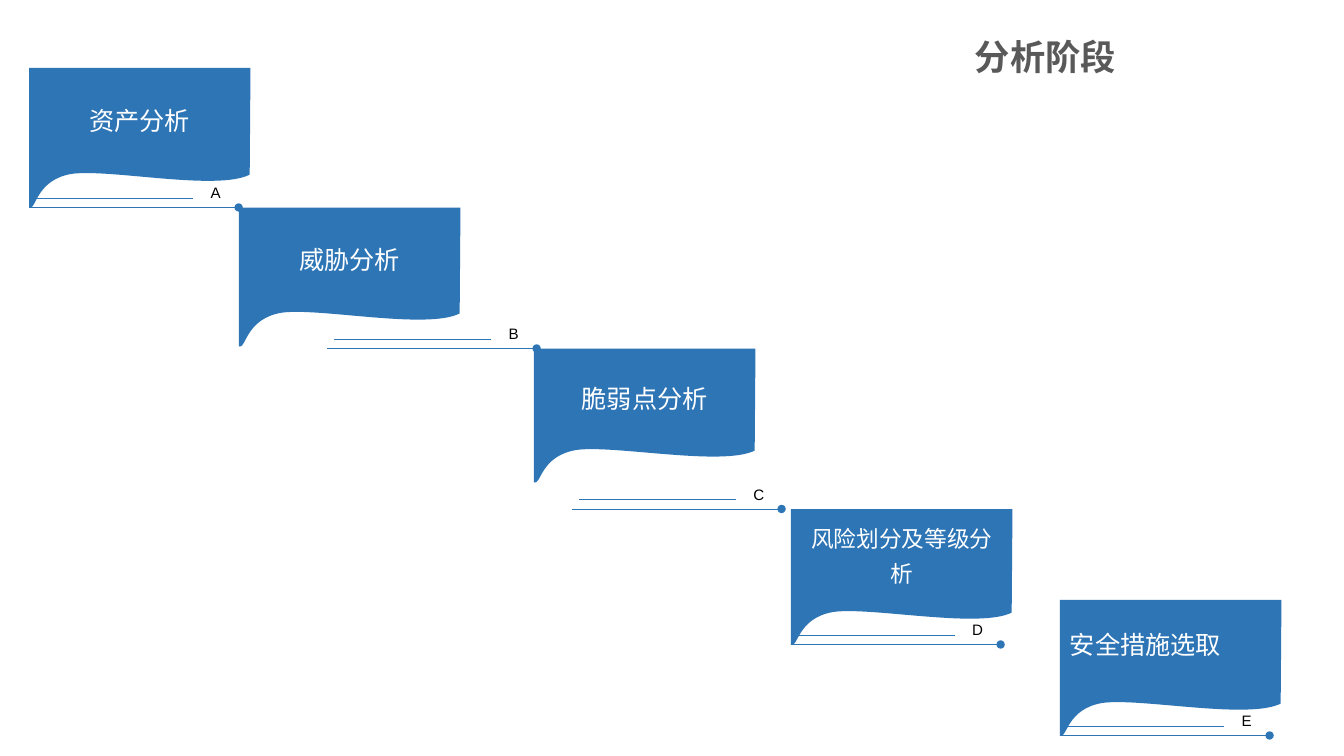
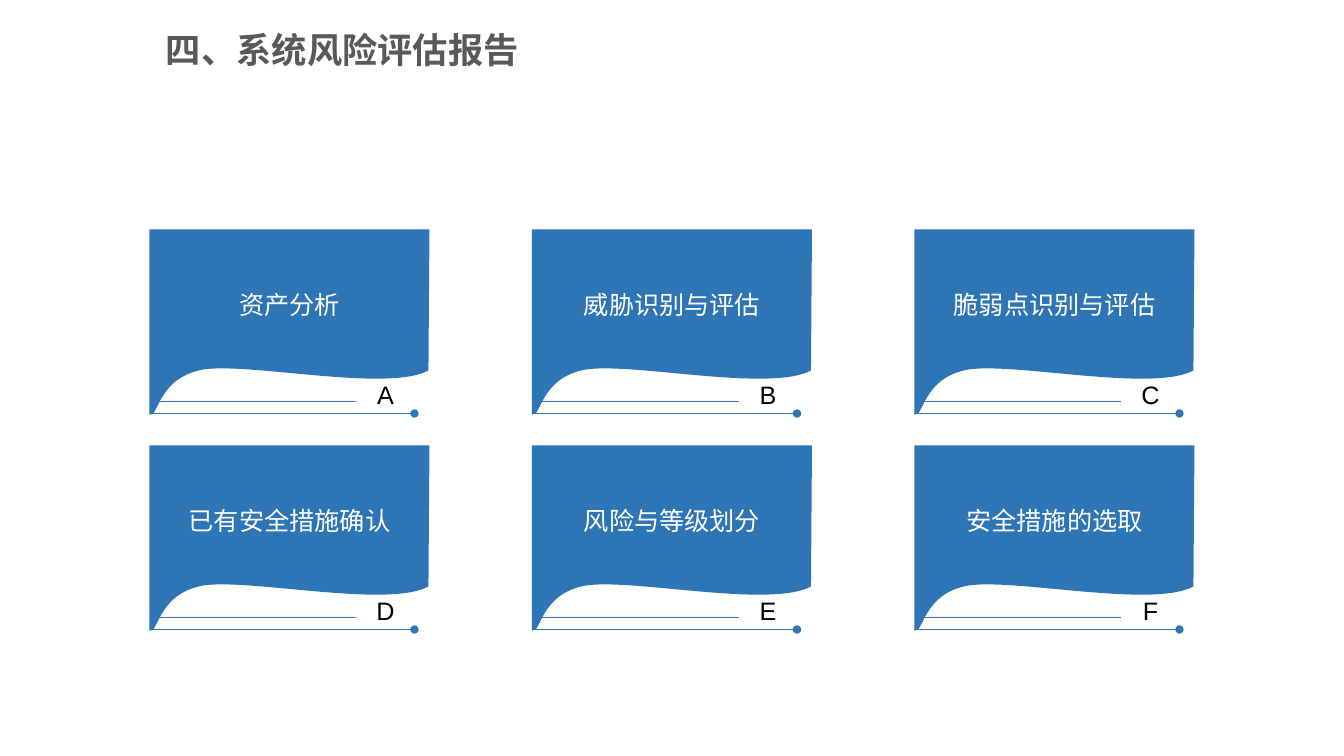
from lxml import etree
from pptx import Presentation
from pptx.dml.color import RGBColor
from pptx.enum import lang, shapes, text
from pptx.oxml import ns
from pptx.util import Emu, Pt

SCALE = 914400 / 100.8
FONT, BLUE, GREY, WHITE, BLACK = "Arial", "2E75B6", "595959", "FFFFFF", "000000"
LEFT, MID = text.PP_ALIGN.LEFT, text.PP_ALIGN.CENTER

# Flag outline and rule measures, for a flag 280 wide and 185 high
FLAG_W, FLAG_H = 280, 185
CORNERS = [(0, 0), (280, 0), (279, 141)]
WAVES = [(238, 163), (102, 133), (54, 140), (8, 148), (9, 189), (0, 185)]
EDGE = [(0, 118)]
SHORT, LONG, RISE = (9, 207), (0, 265), 12
TAG_X, TAG_W, TAG_H = 211, 50, 38

# Title: words, box
STAGE_TITLE = ("分析阶段", (965, 30, 172, 57))
REPORT_TITLE = ("四、系统风险评估报告", (156, 23, 570, 57))

# Stage: words, flag x, y, height, rule x, y, size, line spacing, alignment
STAGES = [
    ("资产分析", 29, 68, 140, 29, 207.5, 18, 1.5, MID),
    ("威胁分析", 239, 207.5, 139, 327, 348.5, 18, 1.5, MID),
    ("脆弱点分析", 534, 348.5, 134, 572, 509, 18, 1.5, MID),
    ("风险划分及等级分析", 791, 509, 136, 791, 644.5, 16.2, 1.3, MID),
    ("安全措施选取", 1060, 600, 136, 1060, 735.5, 18, Pt(23), LEFT),
]
STAGE_W = 221.5

PARTS = ["资产分析", "威胁识别与评估", "脆弱点识别与评估",
         "已有安全措施确认", "风险与等级划分", "安全措施的选取"]
COLS, GRID_X, GRID_Y, STEP_X, STEP_Y = 3, 149.5, 229.5, 382.5, 216


def px(n):
    """Turn pixels into EMU."""
    return Emu(round(n * SCALE))


def rgb(code):
    """Turn a hex string into a colour."""
    return RGBColor.from_string(code)


def write(shape, words, size, color, align=LEFT, gap=None, bold=False):
    """Put one styled paragraph into a shape."""
    frame = shape.text_frame
    frame.word_wrap = True
    frame.text = words
    para = frame.paragraphs[0]
    para.alignment = align
    if gap:
        para.line_spacing = gap
    font = para.runs[0].font
    font.name, font.size, font.bold = FONT, Pt(size), bold
    font.color.rgb = rgb(color)
    font.language_id = lang.MSO_LANGUAGE_ID.SIMPLIFIED_CHINESE
    return frame


def title(slide, words, box):
    """Add the slide title."""
    shape = slide.shapes.add_textbox(*map(px, box))
    write(shape, words, 25.2, GREY, bold=True)


def rule(group, x1, x2, y, dot=False):
    """Draw a thin level line, with a dot at its end if asked."""
    line = group.shapes.add_connector(
        shapes.MSO_CONNECTOR.STRAIGHT, px(x1), px(y), px(x2), px(y))
    line.line.color.rgb = rgb(BLUE)
    line.line.width = Pt(0.5)
    if dot:
        tail = etree.SubElement(line.line._get_or_add_ln(), ns.qn("a:tailEnd"))
        tail.set("type", "oval")
    etree.SubElement(line._element.spPr, ns.qn("a:effectLst"))


def bend(shape, first, count):
    """Join each three line segments from first on into one curve."""
    lines = list(shape._element.iter(ns.qn("a:lnTo")))[first:first + count]
    for i in range(0, count, 3):
        curve = etree.Element(ns.qn("a:cubicBezTo"))
        lines[i].addprevious(curve)
        for line in lines[i:i + 3]:
            curve.append(line[0])
            line.getparent().remove(line)


def flag(group, x, y, wide, high):
    """Draw a blue flag with a waved lower edge."""
    dots = [(px(x + a * wide / FLAG_W), px(y + b * high / FLAG_H))
            for a, b in CORNERS + WAVES + EDGE]
    pen = group.shapes.build_freeform(*dots[0], scale=1.0)
    pen.add_line_segments(dots[1:], close=True)
    shape = pen.convert_to_shape()
    bend(shape, len(CORNERS) - 1, len(WAVES))
    # The last curve's handle lies below the flag's own foot
    shape.height = px(high)
    next(shape._element.iter(ns.qn("a:path"))).set("h", str(px(high)))
    shape.shadow.inherit = False
    shape.fill.solid()
    shape.fill.fore_color.rgb = rgb(BLUE)
    shape.line.fill.background()
    return shape


def card(slide, words, tag, spot, size, base, tag_size, font=18, gap=1.5,
         align=MID):
    """Add a worded flag with its two rules and letter."""
    group = slide.shapes.add_group_shape()
    k = size[0] / FLAG_W
    x, y = base
    rule(group, x + SHORT[0] * k, x + SHORT[1] * k, y - RISE * k)
    rule(group, x + LONG[0] * k, x + LONG[1] * k, y, dot=True)
    frame = write(flag(group, *spot, *size), words, font, WHITE, align, gap)
    frame.vertical_anchor = text.MSO_ANCHOR.MIDDLE
    frame.margin_bottom = px(55)
    box = (x + TAG_X * k, y - TAG_H * k, TAG_W * k, TAG_H * k)
    letter = group.shapes.add_textbox(*map(px, box))
    frame = write(letter, tag, tag_size, BLACK, MID)
    frame.vertical_anchor = text.MSO_ANCHOR.MIDDLE


deck = Presentation()
deck.slide_width, deck.slide_height = px(1344), px(756)
blank = deck.slide_layouts[6]

steps = deck.slides.add_slide(blank)
for tag, (words, x, y, high, rx, ry, *style) in zip("ABCDE", STAGES):
    card(steps, words, tag, (x, y), (STAGE_W, high), (rx, ry), 10.8, *style)
title(steps, *STAGE_TITLE)

report = deck.slides.add_slide(blank)
for i, (tag, words) in enumerate(zip("ABCDEF", PARTS)):
    row, col = divmod(i, COLS)
    x, y = GRID_X + col * STEP_X, GRID_Y + row * STEP_Y
    card(report, words, tag, (x, y), (FLAG_W, FLAG_H), (x, y + FLAG_H - 1), 18)
title(report, *REPORT_TITLE)

deck.save("out.pptx")
